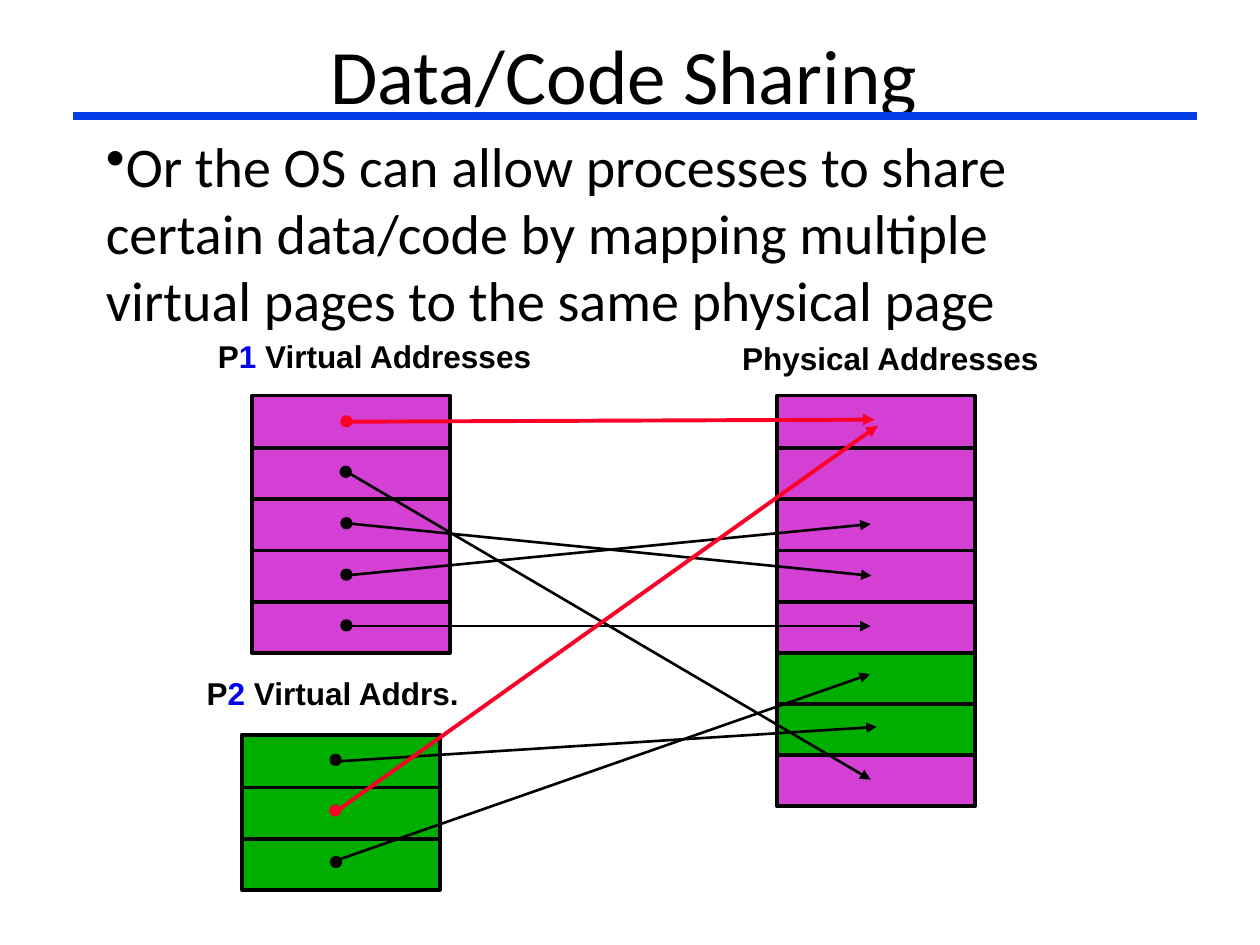
from pptx import Presentation
from pptx import util as u
from pptx.dml.color import RGBColor
from pptx.enum import shapes, text
from pptx.oxml.ns import qn
from lxml import etree

Pt = u.Pt
HUES = {"ink": "000000", "pink": "D440D4", "green": "00AE00",
        "red": "FC0128", "blue": "0003E7", "rule": "063DE8"}
HUES = {name: RGBColor.from_string(code) for name, code in HUES.items()}

deck = Presentation()
deck.slide_width, deck.slide_height = Pt(720), Pt(540)
slide = deck.slides.add_slide(deck.slide_layouts[6])
items = slide.shapes


def line(start, end, hue="ink", width=2.25, arrow=False):
    link = items.add_connector(shapes.MSO_CONNECTOR.STRAIGHT,
                               *[Pt(n) for n in (*start, *end)])
    link.line.color.rgb = HUES[hue]
    link.line.width = Pt(width)
    if arrow:
        etree.SubElement(link.line._get_or_add_ln(), qn("a:tailEnd"), type="triangle")
    etree.SubElement(link._element.spPr, qn("a:effectLst"))


def solid(kind, box, fill, edge="ink", width=2.25):
    """Add a filled, outlined preset shape."""
    form = items.add_shape(kind, *[Pt(n) for n in box])
    form.shadow.inherit = False
    form.fill.solid()
    form.fill.fore_color.rgb = HUES[fill]
    form.line.color.rgb = HUES[edge]
    form.line.width = Pt(width)


# Page stacks: left, top, rows, fill
PITCH, WIDE = 29.2, 113.2
stacks = [(144, 226, 5, "pink"), (444, 226, 8, "pink"), (138.2, 419.8, 3, "green")]
rect = shapes.MSO_SHAPE.RECTANGLE
for left, top, rows, fill in stacks:
    solid(rect, (left, top, WIDE, rows * PITCH + 1), fill)
    for row in range(1, rows):
        y = top + 1 + row * PITCH
        line((left, y), (left + WIDE + 0.4, y))

# Physical pages held by the second process
for row in (5, 6):
    solid(rect, (444, 227 + row * PITCH, WIDE, PITCH), "green")

# Mappings: dot centre, arrow start, arrow end, colour
maps = [
    ((198, 240.8), (197.5, 241), (499.8, 239.8), "red"),
    ((197.6, 269.6), (198, 269.5), (497.5, 445.5), "ink"),
    ((198, 299), (198, 299), (498, 329), "ink"),
    ((198, 328.4), (198, 328.8), (497.5, 299.5), "ink"),
    ((198, 357.4), (198, 357.8), (497.5, 357.8), "ink"),
    ((191.8, 434.2), (194.2, 435), (501, 415.4), "ink"),
    ((191.6, 463.2), (192.3, 463.6), (501.7, 243.2), "red"),
    ((192, 492.6), (194.2, 491), (497.2, 385.2), "ink"),
]
DOT = 6
for (x, y), start, end, hue in maps:
    solid(shapes.MSO_SHAPE.OVAL, (x - DOT / 2, y - DOT / 2, DOT, DOT), hue, hue, 1)
    line(start, end, hue, 2.25 if hue == "red" else 1.5, True)

# Text: box, runs, font values, paragraph values, anchor, bullet
big = {"name": "Calibri", "size": Pt(44)}
main = {"name": "Calibri", "size": Pt(32)}
bold = {"name": "Arial", "size": Pt(18), "bold": True}
mid = {"alignment": text.PP_ALIGN.CENTER}
tight = {"line_spacing": 0.93}
words = [
    ((59.6, 12, 594, 60), [("Data/Code Sharing", "ink")], big, mid, "MIDDLE", ""),
    ((54, 72, 594, 126),
     [("Or the OS can allow processes to share certain data/code by mapping "
       "multiple virtual pages to the same physical page", "ink")],
     main, {}, "TOP", "•"),
    ((118, 191, 194, 27),
     [("P", "ink"), ("1 ", "blue"), ("Virtual Addresses", "ink")],
     bold, tight, "TOP", ""),
    ((417.6, 192, 184, 27), [("Physical Addresses", "ink")], bold, tight, "TOP", ""),
    ((111.6, 383.8, 159, 27),
     [("P", "ink"), ("2 ", "blue"), ("Virtual Addrs.", "ink")],
     bold, tight, "TOP", ""),
]
for box, runs, face, form, anchor, mark in words:
    frame = items.add_textbox(*[Pt(n) for n in box]).text_frame
    frame.word_wrap = True
    frame.vertical_anchor = text.MSO_ANCHOR[anchor]
    frame.margin_left = frame.margin_right = Pt(6.5)
    frame.margin_top = frame.margin_bottom = Pt(3.6 if face is bold else 3)
    para = frame.paragraphs[0]
    for key, value in form.items():
        setattr(para, key, value)
    if mark:
        props = para._p.get_or_add_pPr()
        props.set("marL", "0")
        props.set("indent", "0")
        etree.SubElement(props, qn("a:buChar"), char=mark)
    for part, hue in runs:
        run = para.add_run()
        run.text = part
        run.font.color.rgb = HUES[hue]
        for key, value in face.items():
            setattr(run.font, key, value)

line((42, 66.2), (684, 66.2), "rule", 4.5)

deck.save("out.pptx")
